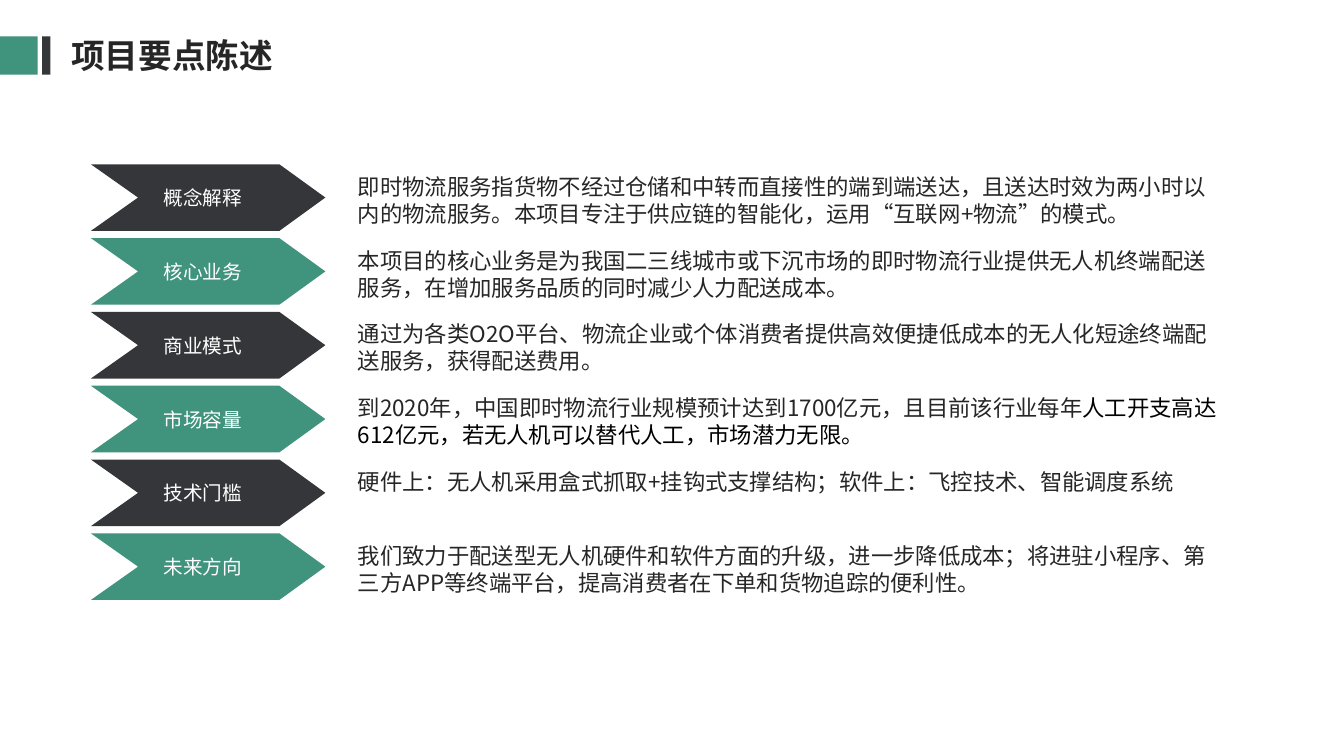
"""Build the project key points slide with six labelled arrows."""
from lxml import etree
from pptx import Presentation
from pptx import util as u
from pptx.dml.color import RGBColor
from pptx.enum import lang, shapes, text
from pptx.oxml.ns import qn

COLORS = {"green": "40937D", "dark": "35363A", "ink": "262626", "white": "FFFFFF", "black": "000000"}
FONT = "Noto Sans CJK SC"
ROW_PITCH = 1.86
POINTS = [
    ("概念解释", ["即时物流服务指货物不经过仓储和中转而直接性的端到端送达，且送达时效为两小时以内的物流服务。"
              "本项目专注于供应链的智能化，运用“互联网+物流”的模式。"]),
    ("核心业务", ["本项目的核心业务是为我国二三线城市或下沉市场的即时物流行业提供无人机终端配送服务，"
              "在增加服务品质的同时减少人力配送成本。"]),
    ("商业模式", ["通过为各类O2O平台、物流企业或个体消费者提供高效便捷低成本的无人化短途终端配送服务，获得配送费用。"]),
    ("市场容量", ["到2020年，中国即时物流行业规模预计达到1700亿元，且目前该行业每年",
              "人工开支高达612亿元，若无人机可以替代人工，市场潜力无限。"]),
    ("技术门槛", ["硬件上：无人机采用盒式抓取+挂钩式支撑结构；软件上：飞控技术、智能调度系统"]),
    ("未来方向", ["我们致力于配送型无人机硬件和软件方面的升级，进一步降低成本；将进驻小程序、"
              "第三方APP等终端平台，提高消费者在下单和货物追踪的便利性。"]),
]


def paint(shape, color):
    """Give a shape a flat fill without line or shadow."""
    shape.shadow.inherit = False
    shape.fill.solid()
    shape.fill.fore_color.rgb = RGBColor.from_string(COLORS[color])
    shape.line.fill.background()


def add_text(place, spans, size, color, margins=(0.25, 0.13), bold=False):
    """Add a wrapping text box with one paragraph."""
    box = page.shapes.add_textbox(*(u.Cm(length) for length in place))
    frame = box.text_frame
    frame.word_wrap = True
    frame.margin_left = frame.margin_right = u.Cm(margins[0])
    frame.margin_top = frame.margin_bottom = u.Cm(margins[1])
    para = frame.paragraphs[0]
    para.font.size = u.Pt(size)
    para.font.bold = bold
    para.font.name = FONT
    para.font.language_id = lang.MSO_LANGUAGE_ID.SIMPLIFIED_CHINESE
    para.font.color.rgb = RGBColor.from_string(COLORS[color])
    defaults = para._p.pPr.find(qn("a:defRPr"))
    etree.SubElement(defaults, qn("a:ea"), typeface=FONT)
    for words in spans:
        para.add_run().text = words
    return para


deck = Presentation()
deck.slide_width, deck.slide_height = u.Cm(33.87), u.Cm(19.05)
page = deck.slides.add_slide(deck.slide_layouts[6])

for left, width, color in [(0, 0.95, "green"), (1.06, 0.21, "dark")]:
    bar = page.shapes.add_shape(shapes.MSO_SHAPE.RECTANGLE, u.Cm(left), u.Cm(0.92), u.Cm(width), u.Cm(0.96))
    paint(bar, color)
add_text((1.55, 0.74, 7.7, 1.3), ["项目要点陈述"], 24, "ink", bold=True)

for row, (label, description) in enumerate(POINTS):
    top = 4.14 + row * ROW_PITCH
    middle, bottom = top + 0.84, top + 1.68
    outline = [(7.04, top), (8.2, middle), (7.04, bottom), (2.29, bottom), (3.48, middle)]
    builder = page.shapes.build_freeform(u.Cm(2.29), u.Cm(top))
    builder.add_line_segments([(u.Cm(x), u.Cm(y)) for x, y in outline], close=True)
    paint(builder.convert_to_shape(), "green" if row % 2 else "dark")

    add_text((3.87, top + 0.42, 2.8, 0.86), [label], 14, "white")
    para = add_text((8.69, top + 0.05, 22.6, 1.68), description, 16, "ink", margins=(0.33, 0.17))
    for span in para.runs[1:]:
        span.font.color.rgb = RGBColor.from_string(COLORS["black"])

deck.save("out.pptx")
